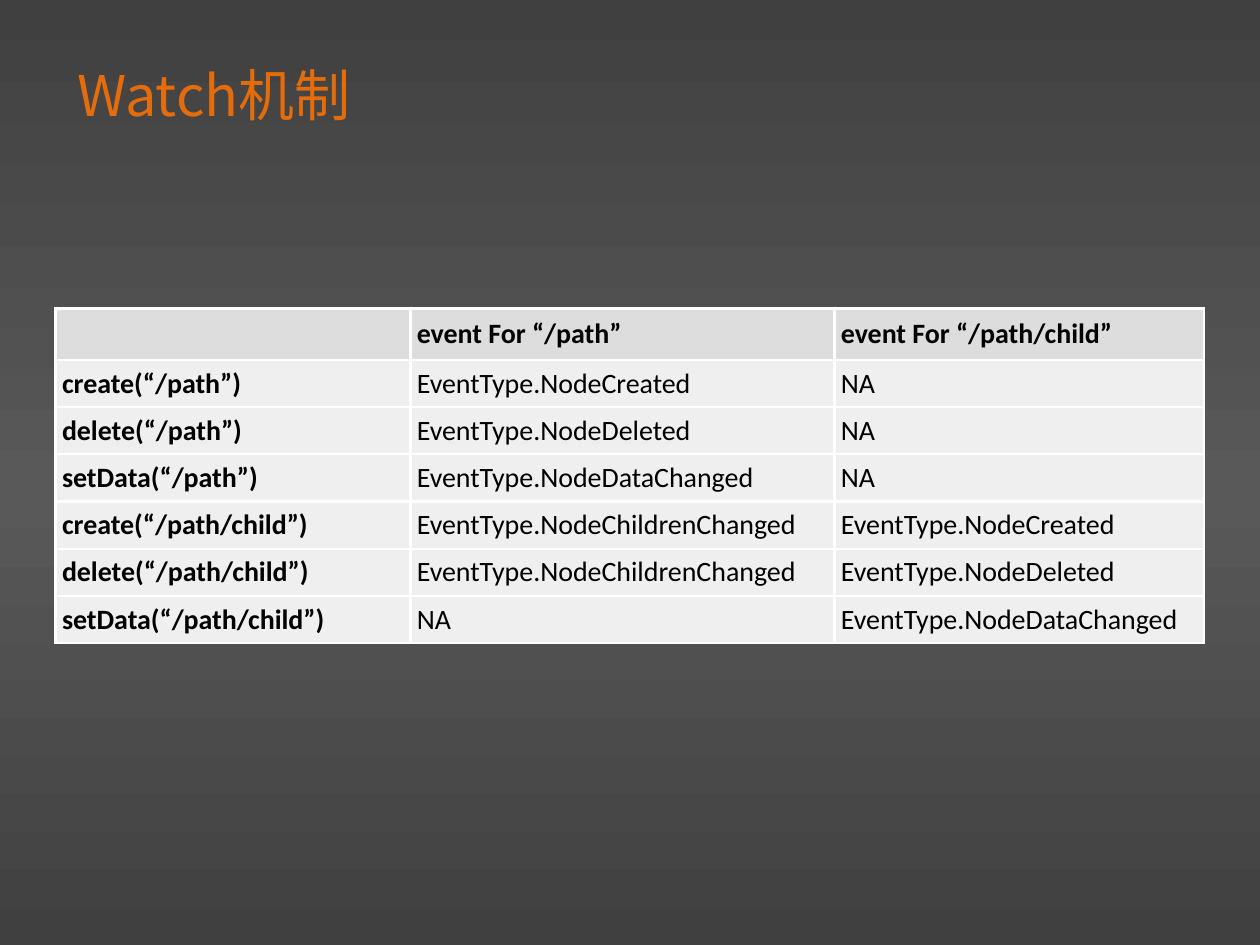
from copy import deepcopy

from lxml.etree import SubElement
from pptx import Presentation
from pptx.dml.color import RGBColor
from pptx.enum.text import MSO_ANCHOR, MSO_AUTO_SIZE, PP_ALIGN
from pptx.oxml.ns import qn
from pptx.util import Cm, Pt

ORANGE = RGBColor(0xE4, 0x6C, 0x0A)
BLACK = RGBColor(0x00, 0x00, 0x00)
WHITE = RGBColor(0xFF, 0xFF, 0xFF)
HEADER_GRAY = RGBColor(0xDD, 0xDD, 0xDD)
BODY_GRAY = RGBColor(0xEF, 0xEF, 0xEF)
DARK_GRAY = RGBColor(0x40, 0x40, 0x40)
MID_GRAY = RGBColor(0x59, 0x59, 0x59)

TITLE_FONT = "Noto Sans CJK SC"
TABLE_FONT = "Calibri"

EVENT_ROWS = [
    ("", "event For “/path”", "event For “/path/child”"),
    ("create(“/path”)", "EventType.NodeCreated", "NA"),
    ("delete(“/path”)", "EventType.NodeDeleted", "NA"),
    ("setData(“/path”)", "EventType.NodeDataChanged", "NA"),
    ("create(“/path/child”)", "EventType.NodeChildrenChanged", "EventType.NodeCreated"),
    ("delete(“/path/child”)", "EventType.NodeChildrenChanged", "EventType.NodeDeleted"),
    ("setData(“/path/child”)", "NA", "EventType.NodeDataChanged"),
]
COLUMN_SHARES = (2.82, 3.37, 2.94)


def paint_background(slide):
    fill = slide.background.fill
    fill.gradient()
    fill.gradient_angle = 90
    # The default gradient has two stops; a third goes in the middle
    stop_list = next(slide.element.iter(qn("a:gsLst")))
    stop_list.insert(1, deepcopy(stop_list[0]))
    stops = ((0, DARK_GRAY), (0.48, MID_GRAY), (1, DARK_GRAY))
    for stop, (position, color) in zip(fill.gradient_stops, stops):
        stop.position = position
        stop.color.rgb = color


def add_title(slide, left, top, width, height):
    title = slide.shapes.title
    title.left, title.top, title.width, title.height = left, top, width, height
    frame = title.text_frame
    frame.word_wrap = True
    frame.auto_size = MSO_AUTO_SIZE.NONE
    frame.vertical_anchor = MSO_ANCHOR.TOP
    paragraph = frame.paragraphs[0]
    paragraph.alignment = PP_ALIGN.LEFT
    run = paragraph.add_run()
    run.text = "Watch机制"
    run.font.name = TITLE_FONT
    run.font.size = Pt(32)
    run.font.color.rgb = ORANGE
    SubElement(run.font._element, qn("a:ea"), typeface=TITLE_FONT)


def add_borders(cell):
    properties = cell._tc.get_or_add_tcPr()
    for position, side in enumerate(("a:lnL", "a:lnR", "a:lnT", "a:lnB")):
        line = SubElement(properties, qn(side), w=str(Pt(1.5)))
        fill = SubElement(line, qn("a:solidFill"))
        SubElement(fill, qn("a:srgbClr"), val=str(WHITE))
        # Borders come before the cell fill
        properties.insert(position, line)


def format_cell(cell, text, color, bold):
    cell.fill.solid()
    cell.fill.fore_color.rgb = color
    add_borders(cell)
    cell.vertical_anchor = MSO_ANCHOR.MIDDLE
    cell.margin_left = cell.margin_right = Cm(0.13)
    cell.margin_top = cell.margin_bottom = Cm(0.13)
    if not text:
        return
    run = cell.text_frame.paragraphs[0].add_run()
    run.text = text
    run.font.name = TABLE_FONT
    run.font.size = Pt(16)
    run.font.bold = bold
    run.font.color.rgb = BLACK


def add_event_table(slide, left, top, width, height):
    table = slide.shapes.add_table(
        len(EVENT_ROWS), len(COLUMN_SHARES), left, top, width, height
    ).table
    for column, share in zip(table.columns, COLUMN_SHARES):
        column.width = int(width * share / sum(COLUMN_SHARES))
    for row_index, texts in enumerate(EVENT_ROWS):
        is_header = row_index == 0
        color = HEADER_GRAY if is_header else BODY_GRAY
        for column_index, text in enumerate(texts):
            bold = is_header or column_index == 0
            format_cell(table.cell(row_index, column_index), text, color, bold)


def main():
    presentation = Presentation()
    presentation.slide_width = Cm(25.4)
    presentation.slide_height = Cm(19.05)
    slide = presentation.slides.add_slide(presentation.slide_layouts[5])
    paint_background(slide)
    add_title(slide, Cm(1.3), Cm(1.09), Cm(6.22), Cm(1.63))
    add_event_table(slide, Cm(1.12), Cm(6.22), Cm(23.16), Cm(6.6))
    presentation.save("out.pptx")


if __name__ == "__main__":
    main()
